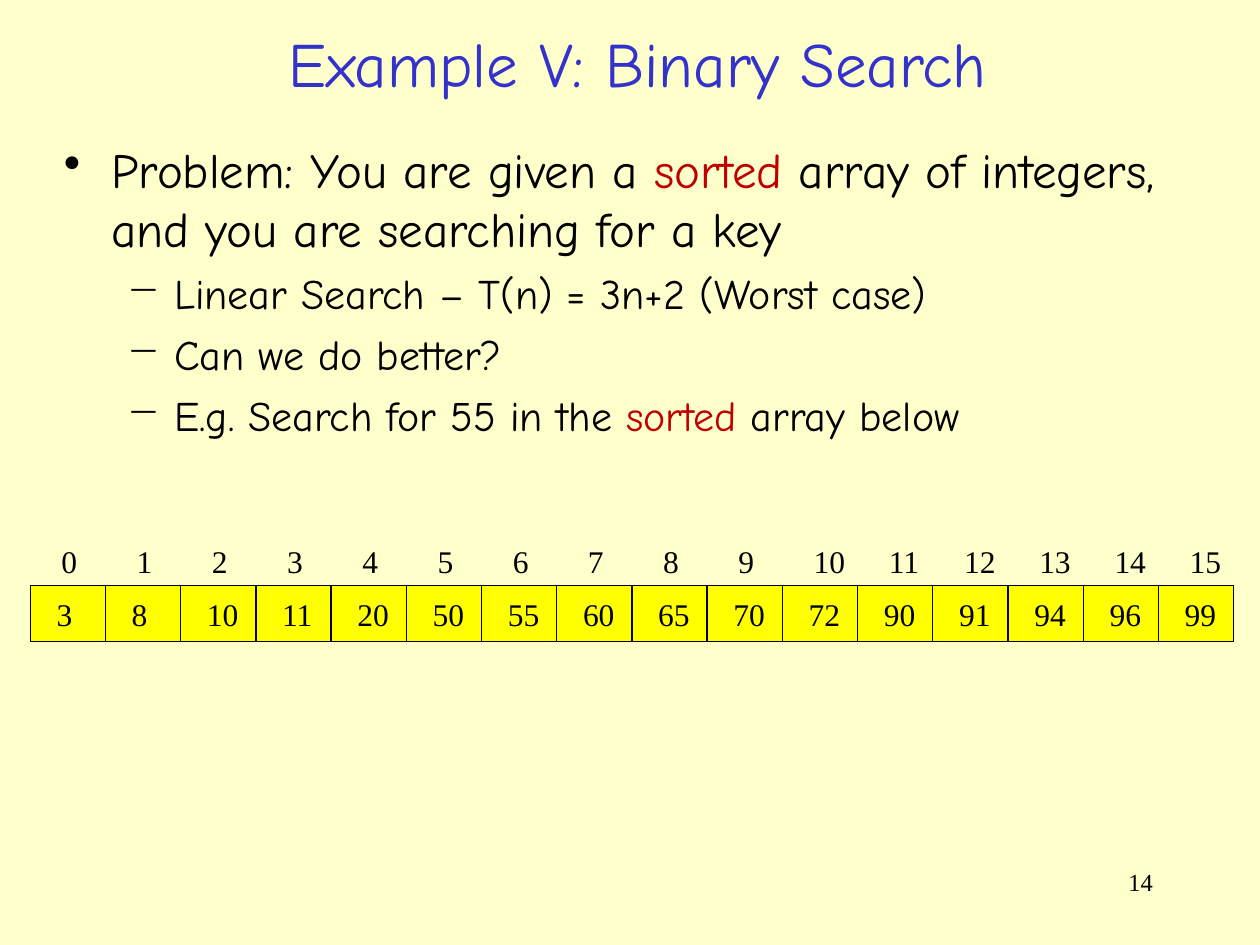
from lxml.etree import SubElement
from pptx import Presentation
from pptx.dml.color import RGBColor
from pptx.enum.shapes import MSO_SHAPE as Shape
from pptx.enum.text import MSO_ANCHOR as Anchor, MSO_AUTO_SIZE as AutoSize, PP_ALIGN as Align
from pptx.oxml.ns import qn
from pptx.util import Cm, Pt

CREAM = RGBColor(0xFF, 0xFF, 0xCC)
BLUE = RGBColor(0x33, 0x33, 0xCC)
RED = RGBColor(0xC0, 0x00, 0x00)
YELLOW = RGBColor(0xFF, 0xFF, 0x00)
BLACK = RGBColor(0x00, 0x00, 0x00)

HEADING_FONT = "Comic Neue"
NUMBER_FONT = "Times New Roman"

TITLE = "Example V: Binary Search"
POINTS = [
    (0, ["Problem: You are given a ", ("sorted", RED),
         " array of integers, and you are searching for a key"]),
    (1, ["Linear Search – T(n) = 3n+2 (Worst case)"]),
    (1, ["Can we do better?"]),
    (1, ["E.g. Search for 55 in the ", ("sorted", RED), " array below"]),
]
LEVELS = [
    dict(bullet="•", margin=Cm(0.95), size=28, before=7),
    dict(bullet="−", margin=Cm(2.22), size=24, before=6),
]
HANGING = Cm(0.95)
VALUES = [3, 8, 10, 11, 20, 50, 55, 60, 65, 70, 72, 90, 91, 94, 96, 99]


def write(paragraph, *parts, font=NUMBER_FONT, size=18, color=BLACK, align=Align.LEFT):
    paragraph.alignment = align
    for part in parts:
        text, run_color = part if isinstance(part, tuple) else (part, color)
        run = paragraph.add_run()
        run.text = text
        run.font.name = font
        run.font.size = Pt(size)
        run.font.color.rgb = run_color


def add_bullet(paragraph, bullet, margin):
    properties = paragraph._p.get_or_add_pPr()
    properties.set("marL", str(margin))
    properties.set("indent", str(-HANGING))
    SubElement(properties, qn("a:buChar")).set("char", bullet)


def add_text_box(slide, left, top, width, height, wrap=True):
    frame = slide.shapes.add_textbox(left, top, width, height).text_frame
    frame.word_wrap = wrap
    return frame


def place_title(slide, left, top, width, height):
    title = slide.shapes.title
    title.left, title.top, title.width, title.height = left, top, width, height
    frame = title.text_frame
    frame.auto_size = AutoSize.NONE
    frame.vertical_anchor = Anchor.MIDDLE
    write(frame.paragraphs[0], TITLE, font=HEADING_FONT, size=36, color=BLUE,
          align=Align.CENTER)


def place_points(slide, left, top, width, height):
    frame = add_text_box(slide, left, top, width, height)
    for number, (level, parts) in enumerate(POINTS):
        paragraph = frame.add_paragraph() if number else frame.paragraphs[0]
        style = LEVELS[level]
        paragraph.level = level
        paragraph.space_before = Pt(style["before"])
        add_bullet(paragraph, style["bullet"], style["margin"])
        write(paragraph, *parts, font=HEADING_FONT, size=style["size"])


def place_array(slide, left, top, width, height):
    cell_width = width / len(VALUES)
    index_height = Cm(1)
    cell_top = top + index_height
    for index, value in enumerate(VALUES):
        cell_left = round(left + index * cell_width)
        label = add_text_box(slide, cell_left + Cm(0.38), top, round(cell_width),
                             index_height, wrap=False)
        write(label.paragraphs[0], str(index))

        cell = slide.shapes.add_shape(Shape.RECTANGLE, cell_left, cell_top,
                                      round(cell_width), height - index_height)
        cell.shadow.inherit = False
        cell.fill.solid()
        cell.fill.fore_color.rgb = YELLOW
        cell.line.color.rgb = BLACK
        cell.line.width = Pt(0.75)
        frame = cell.text_frame
        frame.word_wrap = False
        frame.margin_left, frame.margin_right = Cm(0.53), 0
        frame.vertical_anchor = Anchor.MIDDLE
        write(frame.paragraphs[0], str(value))


def place_slide_number(slide, left, top, width, height):
    frame = add_text_box(slide, left, top, width, height)
    write(frame.paragraphs[0], "14", size=14, align=Align.RIGHT)


def main():
    presentation = Presentation()
    presentation.slide_width, presentation.slide_height = Cm(25.4), Cm(19.05)
    slide = presentation.slides.add_slide(presentation.slide_layouts[5])
    slide.background.fill.solid()
    slide.background.fill.fore_color.rgb = CREAM
    place_title(slide, Cm(1.47), Cm(0.41), Cm(22.76), Cm(1.7))
    place_points(slide, Cm(1.04), Cm(2.69), Cm(23.22), Cm(6.71))
    place_array(slide, Cm(0.61), Cm(10.8), Cm(24.26), Cm(2.14))
    place_slide_number(slide, Cm(18.21), Cm(17.35), Cm(5.28), Cm(1.27))
    presentation.save("out.pptx")


if __name__ == "__main__":
    main()
